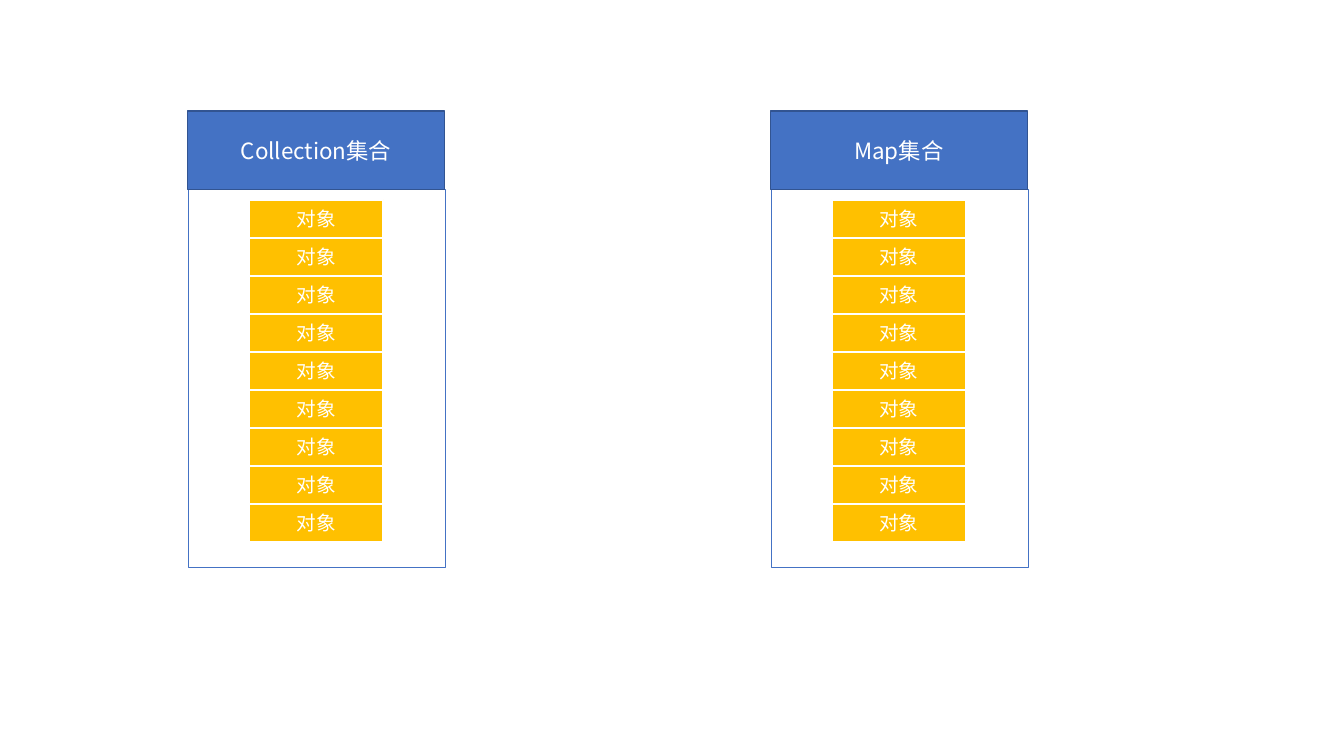
from dataclasses import dataclass

from lxml.etree import SubElement
from pptx import Presentation
from pptx.dml.color import RGBColor
from pptx.enum.shapes import MSO_SHAPE
from pptx.enum.text import MSO_ANCHOR, PP_ALIGN
from pptx.oxml.ns import qn
from pptx.slide import Slide
from pptx.util import Inches, Pt


@dataclass(frozen=True)
class Theme:
    """Font, type sizes and colours of the slide."""
    font: str = "Noto Sans CJK SC"
    title_size: float = 16
    object_size: float = 14
    white: str = "FFFFFF"
    blue: str = "4472C4"
    dark_blue: str = "325491"
    gold: str = "FFC000"


@dataclass(frozen=True)
class Grid:
    """Panel columns across the slide and object rows down each panel, in inches."""
    left: float = 1.87
    column_pitch: float = 5.78
    panel_width: float = 2.55
    header_top: float = 1.1
    body_top: float = 1.88
    body_height: float = 3.75
    header_shift: float = -0.01
    object_indent: float = 0.6
    object_width: float = 1.33
    first_row: float = 1.98
    last_row: float = 5.0
    row_count: int = 9

    def column(self, index: int) -> float:
        """Return the left edge of a panel."""
        return self.left + index * self.column_pitch

    @property
    def row_pitch(self) -> float:
        """Return the distance between neighbouring objects."""
        return (self.last_row - self.first_row) / (self.row_count - 1)

    def row(self, index: int) -> float:
        """Return the top edge of an object."""
        return self.first_row + index * self.row_pitch


@dataclass(frozen=True)
class Area:
    """Position and size in inches."""
    left: float
    top: float
    width: float
    height: float


@dataclass(frozen=True)
class Style:
    """Look of one kind of box."""
    fill: str
    outline: str
    outline_width: float = 1
    text_size: float = 0


THEME = Theme()
GRID = Grid()
BODY = Style(THEME.white, THEME.blue)
HEADER = Style(THEME.blue, THEME.dark_blue, text_size=THEME.title_size)
OBJECT = Style(THEME.gold, THEME.white, 1.5, THEME.object_size)
PANEL_TITLES = ("Collection集合", "Map集合")


def draw_box(slide: Slide, area: Area, style: Style, label: str = "") -> None:
    """Draw a rectangle with an optional centred label."""
    box = slide.shapes.add_shape(
        MSO_SHAPE.RECTANGLE, Inches(area.left), Inches(area.top),
        Inches(area.width), Inches(area.height))
    box.shadow.inherit = False
    box.fill.solid()
    box.fill.fore_color.rgb = RGBColor.from_string(style.fill)
    box.line.color.rgb = RGBColor.from_string(style.outline)
    box.line.width = Pt(style.outline_width)
    if not label:
        return
    frame = box.text_frame
    frame.text = label
    frame.vertical_anchor = MSO_ANCHOR.MIDDLE
    paragraph = frame.paragraphs[0]
    paragraph.alignment = PP_ALIGN.CENTER
    font = paragraph.runs[0].font
    font.name = THEME.font
    font.size = Pt(style.text_size)
    font.color.rgb = RGBColor.from_string(THEME.white)
    properties = paragraph.runs[0]._r.get_or_add_rPr()
    SubElement(properties, qn("a:ea")).set("typeface", THEME.font)


def draw_panel(slide: Slide, column: int, title: str) -> None:
    """Draw a collection: its body, its header and the objects it holds."""
    left = GRID.column(column)
    draw_box(slide, Area(left, GRID.body_top, GRID.panel_width, GRID.body_height), BODY)
    draw_box(slide, Area(left + GRID.header_shift, GRID.header_top, GRID.panel_width,
                         GRID.body_top - GRID.header_top), HEADER, title)
    for row in range(GRID.row_count):
        draw_box(slide, Area(left + GRID.object_indent, GRID.row(row),
                             GRID.object_width, GRID.row_pitch), OBJECT, "对象")


def main() -> None:
    """Build and save the slide."""
    presentation = Presentation()
    presentation.slide_width = Inches(13.33)
    presentation.slide_height = Inches(7.5)
    slide = presentation.slides.add_slide(presentation.slide_layouts[6])
    for column, title in enumerate(PANEL_TITLES):
        draw_panel(slide, column, title)
    presentation.save("out.pptx")


main()
